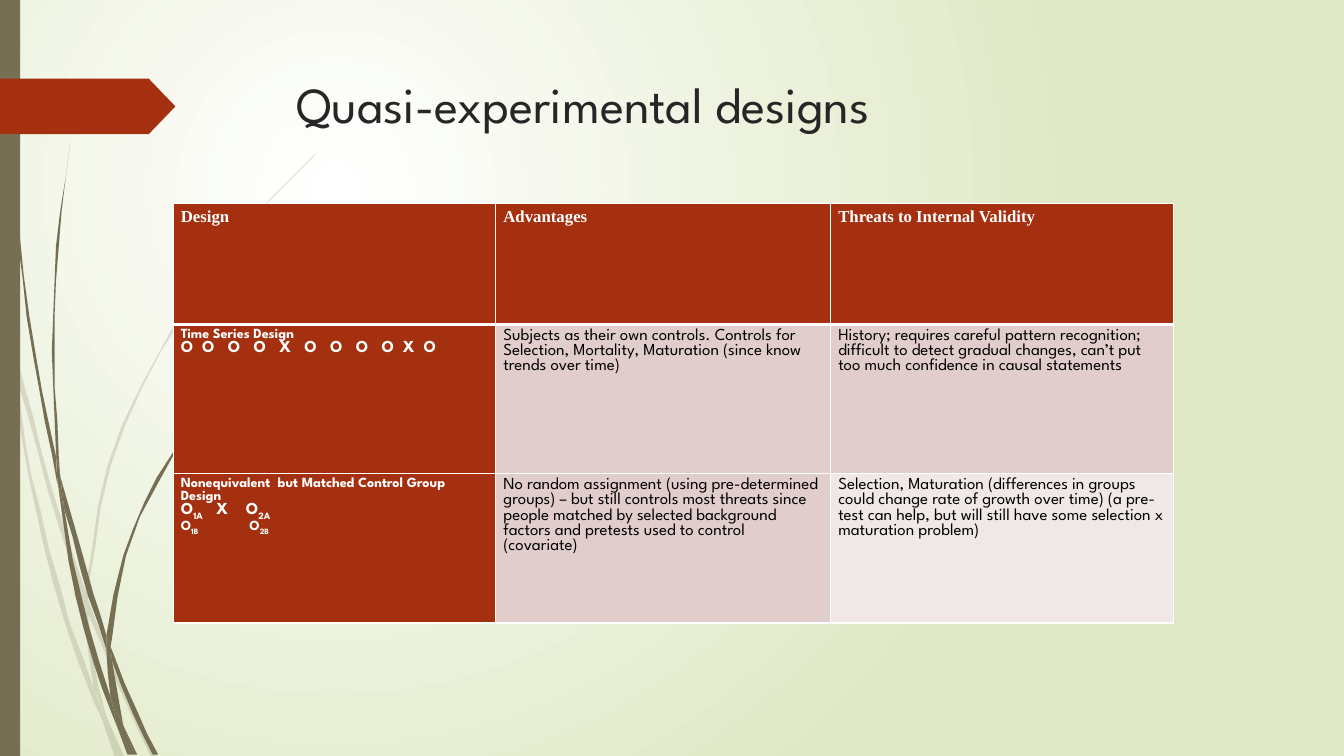
"""Build the slide on quasi-experimental designs."""
from dataclasses import dataclass
from math import ceil, dist

from lxml.etree import SubElement
from pptx import Presentation
from pptx.dml.color import RGBColor
from pptx.enum.shapes import MSO_SHAPE
from pptx.oxml import parse_xml
from pptx.oxml.ns import nsdecls, qn
from pptx.util import Pt

WHITE = RGBColor(0xFF, 0xFF, 0xFF)
BLACK = RGBColor(0x00, 0x00, 0x00)
INK = RGBColor(0x26, 0x26, 0x26)
GREEN = RGBColor(0xDF, 0xE8, 0xC4)
OLIVE = RGBColor(0x76, 0x6F, 0x54)
RUST = RGBColor(0xA5, 0x30, 0x10)
ROSE = RGBColor(0xE1, 0xCD, 0xCC)
PALE_ROSE = RGBColor(0xF0, 0xE8, 0xE7)
SPARTAN, TIMES = "League Spartan", "Times New Roman"
SUBSCRIPT = "-25000"
STEP_LENGTH = 30

Point = tuple[float, float]


@dataclass(frozen=True)
class Wisp:
    out: list[Point]
    back: list[Point]


@dataclass(frozen=True)
class Line:
    runs: list[str]
    size: float = 12
    bold: bool = False
    color: RGBColor = BLACK
    font: str = SPARTAN
    tab: float = 0


@dataclass(frozen=True)
class Cell:
    lines: list[Line]
    fill: RGBColor
    bottom: float = 1


FADED_WISPS = [
    Wisp([(7.9, 252), (6.5, 231.8), (0, 203)], [(0, 215.3), (7.2, 247.7)]),
    Wisp([(10.1, 248.4), (44.6, 374.4), (61.2, 421.9)],
         [(60.5, 431.3), (41.8, 375.8), (12.2, 270.7)]),
    Wisp([(63.4, 429.1), (66.2, 437), (91.4, 498.2), (111.6, 540.7)],
         [(108, 540.7), (88.6, 499.7), (63.4, 439.2)]),
    Wisp([(75.6, 511.9), (89.3, 540.7)], [(85.7, 540.7)]),
    Wisp([(7.9, 252), (12.2, 270.7), (22.3, 337.7), (50.4, 445.7), (67, 491.8), (72.7, 514.1)],
         [(72.7, 514.1), (66.2, 499), (46.8, 447.1), (20.2, 338.4), (7.9, 252)]),
    Wisp([(60.5, 431.3), (62.6, 465.1), (67, 491.8), (75.6, 511.9)],
         [(75.6, 511.9), (65.5, 465.1), (63.4, 439.2)]),
    Wisp([(63.4, 429.1), (63.4, 420.5), (79.2, 332.6), (115.2, 251.3), (164.9, 176.4),
          (193, 142.6), (224.6, 110.9)],
         [(224.6, 110.2), (193, 141.8), (164.2, 175.7), (113.8, 250.6),
          (77, 331.9), (61.2, 420.5), (61.2, 421.9)]),
    Wisp([(72.7, 514.1), (82.1, 540.7)], [(85.7, 540.7)]),
    Wisp([(63.4, 439.2), (63.4, 429.1), (61.2, 421.9)], [(60.5, 431.3)]),
    Wisp([(67, 491.8), (72.7, 514.1), (85.7, 540.7)], [(75.6, 511.9), (69.1, 498.2)]),
]
DARK_WISPS = [
    Wisp([(2.2, 0), (5, 79.2), (12.2, 167.8), (23.8, 255.6), (41, 346.3)],
         [(41, 346.3), (39.6, 326.2), (25.9, 255.6), (13.7, 167), (5.8, 78.5), (2.9, 0)]),
    Wisp([(43.2, 339.8), (67, 424.8), (76.3, 454.3), (76.3, 464.4)],
         [(76.3, 464.4), (63.4, 426.2), (46.1, 363.6)]),
    Wisp([(79.2, 461.5), (81.4, 467.3), (97.9, 508.3), (113, 539.3)],
         [(109.4, 539.3), (95, 509.8), (79.9, 472.3)]),
    Wisp([(41, 343.4), (46.1, 363.6), (51.8, 400.3), (70.6, 473), (79.2, 497.5), (84.2, 519.8)],
         [(84.2, 519.8), (79.9, 509.8), (67, 474.5), (49, 401), (41, 343.4)]),
    Wisp([(43.2, 339.8), (41.8, 326.2), (38.9, 251.3), (41.8, 176.4), (50.4, 101.5)],
         [(50.4, 101.5), (40.3, 176.4), (37.4, 251.3), (39.6, 323.3)]),
    Wisp([(87.8, 517.7), (97.9, 539.3)], [(95.8, 539.3)]),
    Wisp([(39.6, 323.3), (43.2, 339.8), (46.1, 363.6)], [(41, 343.4)]),
    Wisp([(79.2, 461.5), (79.9, 455.8), (90, 397.4), (113.8, 342.7), (147.6, 292.3), (187.9, 247.7)],
         [(187.2, 247.7), (146.9, 291.6), (112.3, 341.3), (87.8, 396.7), (76.3, 454.3)]),
    Wisp([(84.2, 519.8), (91.4, 539.3)], [(94.3, 539.3)]),
    Wisp([(76.3, 464.4), (79.2, 497.5), (87.8, 517.7)], [(87.8, 517.7), (79.9, 472.3)]),
    Wisp([(76.3, 464.4), (79.9, 472.3)], [(79.2, 461.5), (76.3, 454.3)]),
    Wisp([(79.2, 497.5), (84.2, 519.8), (93.6, 539.3)], [(95.8, 539.3), (87.8, 517.7)]),
]


def header(text: str) -> Cell:
    return Cell([Line([text], 12, True, WHITE, TIMES)], RUST, 3)


def design(*lines: Line) -> Cell:
    return Cell(list(lines), RUST)


def label(runs: list[str], size: float, tab: float = 0) -> Line:
    return Line(runs, size, True, WHITE, tab=tab)


def body(text: str, fill: RGBColor = ROSE) -> Cell:
    return Cell([Line([text])], fill)


COLUMN_WIDTHS = [230.4, 239.2, 244.7]
ROW_HEIGHTS = [86.4, 106.6, 106.6]
ROWS = [
    [header("Design"), header("Advantages"), header("Threats to Internal Validity")],
    [design(label(["Time Series Design"], 10), label(["O  O   O   O   X   O   O   O   O  X  O"], 12)),
     body("Subjects as their own controls. Controls for Selection, Mortality, Maturation "
          "(since know trends over time)"),
     body("History; requires careful pattern recognition; difficult to detect gradual changes, "
          "can’t put too much confidence in causal statements")],
    [design(label(["Nonequivalent  but Matched Control Group Design"], 10),
            label(["O", "1A", "   X    O", "2A"], 12),
            label(["O", "1B", "\tO", "2B"], 10, 49)),
     body("No random assignment (using pre-determined groups) – but still controls most threats "
          "since people matched by selected background factors and pretests used to control (covariate)"),
     body("Selection, Maturation (differences in groups could change rate of growth over time) "
          "(a pre-test can help, but will still have some selection x maturation problem)", PALE_ROSE)],
]


def smooth(points: list[Point]) -> list[Point]:
    last = len(points) - 1
    if last < 2:
        return points
    tangents = []
    for i in range(last + 1):
        a, b = points[max(i - 1, 0)], points[min(i + 1, last)]
        span = dist(a, b)
        tangents.append(((b[0] - a[0]) / span, (b[1] - a[1]) / span))
    curve = [points[0]]
    for (p, q), (m, n) in zip(zip(points, points[1:]), zip(tangents, tangents[1:])):
        length = dist(p, q)
        steps = ceil(length / STEP_LENGTH)
        for t in (k / steps for k in range(1, steps + 1)):
            h = t * t * (3 - 2 * t)
            u, v = length * t * (1 - t) ** 2, length * t * t * (t - 1)
            curve.append(tuple(p[k] + h * (q[k] - p[k]) + u * m[k] + v * n[k] for k in (0, 1)))
    return curve


def paint(sp, color: RGBColor) -> None:
    sp.shadow.inherit = False
    sp.fill.solid()
    sp.fill.fore_color.rgb = color
    sp.line.fill.background()


def add_wisp(shapes, wisp: Wisp, alpha: int) -> None:
    outline = smooth(wisp.out) + smooth(wisp.back)
    fb = shapes.build_freeform(*outline[0], scale=Pt(1))
    fb.add_line_segments(outline[1:], close=True)
    sp = fb.convert_to_shape()
    paint(sp, OLIVE)
    if alpha < 100:
        color = sp._element.spPr.find(qn("a:solidFill"))[0]
        SubElement(color, qn("a:alpha"), val=str(alpha * 1000))


def write_line(p, line: Line) -> None:
    p.font.size, p.font.bold, p.font.name = Pt(line.size), line.bold, line.font
    p.font.color.rgb = line.color
    if line.tab:
        tabs = parse_xml(f'<a:tabLst {nsdecls("a")}><a:tab pos="{Pt(line.tab)}" algn="l"/></a:tabLst>')
        p._p.pPr.insert(0, tabs)
    for i, text in enumerate(line.runs):
        r = p.add_run()
        r.text = text
        if i % 2:
            r._r.get_or_add_rPr().set("baseline", SUBSCRIPT)


def write_lines(tf, lines: list[Line]) -> None:
    for i, line in enumerate(lines):
        write_line(tf.add_paragraph() if i else tf.paragraphs[0], line)


def fill_cell(target, cell: Cell, top: float) -> None:
    target.margin_left = target.margin_right = Pt(5.4)
    target.margin_top = target.margin_bottom = Pt(2.7)
    write_lines(target.text_frame, cell.lines)
    tcPr = target._tc.get_or_add_tcPr()
    for side, width in zip("LRTB", (1, 1, top, cell.bottom)):
        tcPr.append(parse_xml(f'<a:ln{side} {nsdecls("a")} w="{Pt(width)}"><a:solidFill>'
                              f'<a:srgbClr val="{WHITE}"/></a:solidFill></a:ln{side}>'))
    target.fill.solid()
    target.fill.fore_color.rgb = cell.fill


def add_design_table(shapes) -> None:
    frame = shapes.add_table(len(ROWS), len(COLUMN_WIDTHS), Pt(123.8), Pt(145.4),
                             Pt(sum(COLUMN_WIDTHS)), Pt(sum(ROW_HEIGHTS)))
    table = frame.table
    for column, width in zip(table.columns, COLUMN_WIDTHS):
        column.width = Pt(width)
    for i, (row, height) in enumerate(zip(ROWS, ROW_HEIGHTS)):
        table.rows[i].height = Pt(height)
        for j, cell in enumerate(row):
            fill_cell(table.cell(i, j), cell, ROWS[i - 1][j].bottom if i else 1)


def set_background(s) -> None:
    fill = s.background.fill
    fill.gradient()
    for stop, color, position in zip(fill.gradient_stops, (WHITE, GREEN), (0, 1)):
        stop.color.rgb, stop.position = color, position
    grad = s._element.cSld.bg.bgPr.find(qn("a:gradFill"))
    grad.replace(grad.find(qn("a:lin")), parse_xml(
        f'<a:path {nsdecls("a")} path="circle">'
        '<a:fillToRect l="50000" t="50000" r="100000" b="100000"/></a:path>'))


def main() -> None:
    prs = Presentation()
    prs.slide_width, prs.slide_height = Pt(960), Pt(540)
    s = prs.slides.add_slide(prs.slide_layouts[6])
    set_background(s)
    for wisps, alpha in ((FADED_WISPS, 20), (DARK_WISPS, 100)):
        for wisp in wisps:
            add_wisp(s.shapes, wisp, alpha)
    paint(s.shapes.add_shape(MSO_SHAPE.RECTANGLE, 0, 0, Pt(14.4), Pt(540)), OLIVE)
    arrow = s.shapes.add_shape(MSO_SHAPE.PENTAGON, 0, Pt(56.2), Pt(125.3), Pt(39.6))
    arrow.adjustments[0] = 0.48
    paint(arrow, RUST)
    title = s.shapes.add_textbox(Pt(204.5), Pt(49), Pt(702), Pt(100.8))
    title.text_frame.word_wrap = True
    write_lines(title.text_frame, [Line(["Quasi-experimental designs"], 36, color=INK)])
    add_design_table(s.shapes)
    prs.save("out.pptx")


if __name__ == "__main__":
    main()
